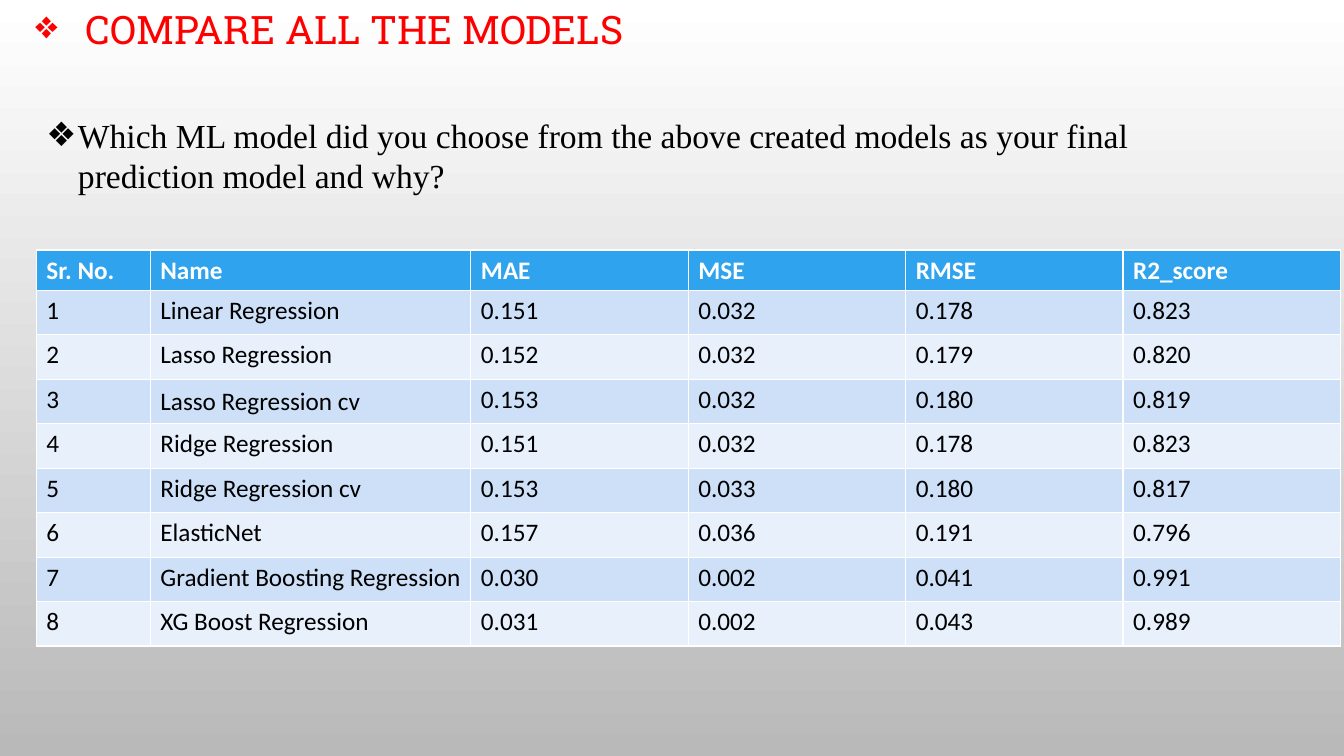
"""Build the slide that compares the regression models."""
import lxml.etree
import pptx
import pptx.dml.color
import pptx.enum.text
import pptx.oxml.ns
import pptx.util

RED = pptx.dml.color.RGBColor(0xFF, 0x00, 0x00)
BLACK = pptx.dml.color.RGBColor(0x00, 0x00, 0x00)
WHITE = pptx.dml.color.RGBColor(0xFF, 0xFF, 0xFF)
GREY = pptx.dml.color.RGBColor(0xB9, 0xB9, 0xB9)
HEADER_BLUE = pptx.dml.color.RGBColor(0x2F, 0xA3, 0xEE)
BAND_BLUE = pptx.dml.color.RGBColor(0xCD, 0xE0, 0xF8)
PALE_BLUE = pptx.dml.color.RGBColor(0xE8, 0xF0, 0xFC)

HEADINGS = ["Sr. No.", "Name", "MAE", "MSE", "RMSE", "R2_score"]
SCORES = [
    ("Linear Regression", "0.151", "0.032", "0.178", "0.823"),
    ("Lasso Regression", "0.152", "0.032", "0.179", "0.820"),
    ("Lasso Regression cv", "0.153", "0.032", "0.180", "0.819"),
    ("Ridge Regression", "0.151", "0.032", "0.178", "0.823"),
    ("Ridge Regression cv", "0.153", "0.033", "0.180", "0.817"),
    ("ElasticNet", "0.157", "0.036", "0.191", "0.796"),
    ("Gradient Boosting Regression", "0.030", "0.002", "0.041", "0.991"),
    ("XG Boost Regression", "0.031", "0.002", "0.043", "0.989"),
]


class SlideBuilder:
    """Hold the table style and the current slide."""

    table_font = "Calibri"
    table_size = 18
    bullet = "❖"

    def __init__(self, presentation):
        self.slide = presentation.slides.add_slide(presentation.slide_layouts[1])

    def background(self, top_color, bottom_color):
        fill = self.slide.background.fill
        fill.gradient()
        fill.gradient_angle = 270
        for stop, position, color in zip(fill.gradient_stops, (0, 1), (top_color, bottom_color)):
            stop.position = position
            stop.color.rgb = color

    def format_run(self, run, font, size, color, bold=False):
        run.font.name = font
        run.font.size = pptx.util.Pt(size)
        run.font.color.rgb = color
        run.font.bold = bold

    def bulleted(self, shape, text, box, indent, font, size, color):
        shape.left, shape.top, shape.width, shape.height = map(pptx.util.Pt, box)
        frame = shape.text_frame
        frame.text = text
        frame.word_wrap = True
        frame.auto_size = pptx.enum.text.MSO_AUTO_SIZE.SHAPE_TO_FIT_TEXT
        paragraph = frame.paragraphs[0]
        paragraph.alignment = pptx.enum.text.PP_ALIGN.LEFT
        paragraph.space_before = pptx.util.Pt(0)
        properties = paragraph._p.get_or_add_pPr()
        properties.set("marL", str(pptx.util.Pt(indent)))
        properties.set("indent", str(-pptx.util.Pt(indent)))
        bullet = lxml.etree.SubElement(properties, pptx.oxml.ns.qn("a:buChar"))
        bullet.set("char", self.bullet)
        self.format_run(paragraph.runs[0], font, size, color)
        return paragraph.runs[0]

    def text_shadow(self, run):
        effects = pptx.oxml.parse_xml(
            f'<a:effectLst {pptx.oxml.ns.nsdecls("a")}>'
            '<a:outerShdw blurRad="38100" dist="38100" dir="2700000" algn="tl">'
            '<a:srgbClr val="000000"><a:alpha val="43000"/></a:srgbClr>'
            "</a:outerShdw></a:effectLst>"
        )
        fill = run.font._element.find(pptx.oxml.ns.qn("a:solidFill"))
        fill.addnext(effects)

    def title(self, text, box):
        shape = self.slide.shapes.title
        run = self.bulleted(shape, text, box, 36, "Roboto Slab", 28, RED)
        shape.text_frame.vertical_anchor = pptx.enum.text.MSO_ANCHOR.MIDDLE
        self.text_shadow(run)

    def question(self, text, box):
        shape = self.slide.placeholders[1]
        self.bulleted(shape, text, box, 22.5, "Times New Roman", 24, BLACK)

    def table(self, rows, box, column_widths, row_heights):
        frame = self.slide.shapes.add_table(len(rows), len(rows[0]), *map(pptx.util.Pt, box))
        table = frame.table
        for column, width in zip(table.columns, column_widths):
            column.width = pptx.util.Pt(width)
        for row_index, (values, height) in enumerate(zip(rows, row_heights)):
            table.rows[row_index].height = pptx.util.Pt(height)
            is_header = row_index == 0
            band = BAND_BLUE if row_index % 2 else PALE_BLUE
            for column_index, value in enumerate(values):
                cell = table.cell(row_index, column_index)
                cell.text_frame.text = value
                cell.fill.solid()
                cell.fill.fore_color.rgb = HEADER_BLUE if is_header else band
                run = cell.text_frame.paragraphs[0].runs[0]
                color = WHITE if is_header else BLACK
                self.format_run(run, self.table_font, self.table_size, color, is_header)
        return table


def main():
    presentation = pptx.Presentation()
    presentation.slide_width = pptx.util.Pt(960)
    presentation.slide_height = pptx.util.Pt(540)
    builder = SlideBuilder(presentation)
    builder.background(WHITE, GREY)
    builder.title("COMPARE ALL THE MODELS", (18, 0, 480, 41))
    rows = [HEADINGS] + [(str(number), *scores) for number, scores in enumerate(SCORES, 1)]
    table = builder.table(
        rows, (26, 178.6, 931.7, 283), [81.4, 229] + [155.3] * 4, [28.8] + [31.75] * len(SCORES)
    )
    table.cell(3, 1).vertical_anchor = pptx.enum.text.MSO_ANCHOR.MIDDLE
    builder.question(
        "Which ML model did you choose from the above created models "
        "as your final prediction model and why?",
        (26, 78.5, 851, 65.5),
    )
    presentation.save("out.pptx")


if __name__ == "__main__":
    main()
